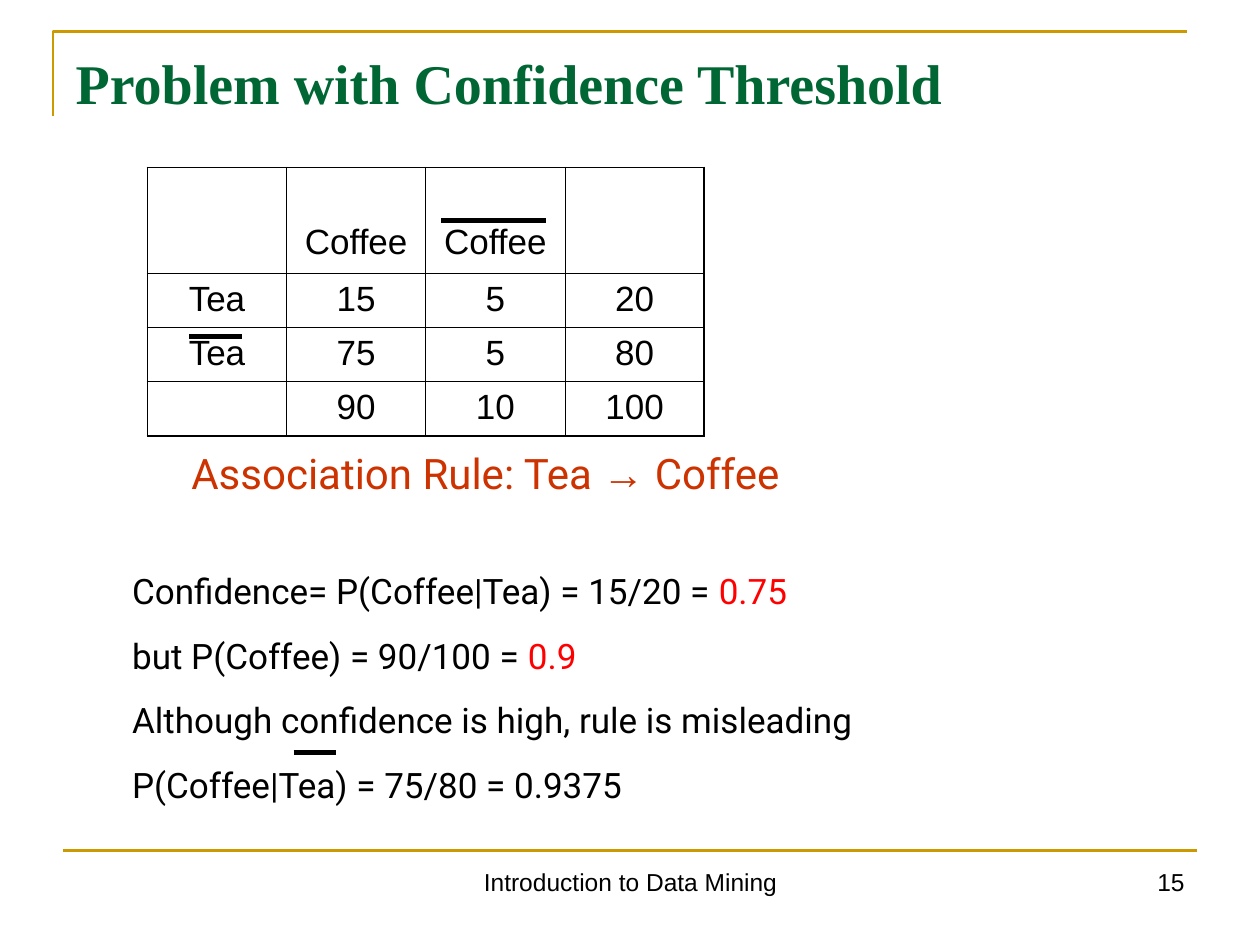
from lxml.etree import SubElement
from pptx import Presentation
from pptx.dml.color import RGBColor
from pptx.enum.text import MSO_ANCHOR, PP_ALIGN
from pptx.oxml.ns import qn
from pptx.util import Inches, Pt

BLACK, GOLD, GREEN, RUST, RED = "000000", "CC9900", "006633", "CC3300", "FF0000"

TITLE = "Problem with Confidence Threshold"
COUNTS = [
    ["", "Coffee", "Coffee", ""],
    ["Tea", "15", "5", "20"],
    ["Tea", "75", "5", "80"],
    ["", "90", "10", "100"],
]
ROW_HEIGHTS = [0.84, 0.43, 0.43, 0.43]
COLUMN_WIDTH = 1.105

BODY = {"size": 20, "name": "Roboto", "color": BLACK}
RULE = {"size": 24, "name": "Roboto", "color": RUST}
RESULT = {**BODY, "color": RED}
CELL = {"size": 20, "name": "Arial", "color": BLACK}
FOOTER = {"size": 14, "name": "Arial", "color": BLACK}
HEADING = {"size": 32, "name": "Times New Roman", "color": GREEN, "bold": True}

# indent in inches, space before in points, spans
NOTES = [
    (0.75, 0, [("Association Rule: Tea ", RULE), ("→", {**RULE, "name": "Arial"}),
               (" Coffee", RULE)]),
    (0.28, 41, [("Confidence= P(Coffee|Tea) = 15/20 = ", BODY), ("0.75", RESULT)]),
    (0.28, 13, [("but P(Coffee) = 90/100 = ", BODY), ("0.9", RESULT)]),
    (0.28, 13, [("Although confidence is high, rule is misleading", BODY)]),
    (0.28, 13, [("P(Coffee|Tea) = 75/80 = 0.9375", BODY)]),
]
# left, right, height on the slide, colour, width in points
RULES = [(0.5, 9.5, 6.75, GOLD, 1.5)]
OVERBARS = [(3.5, 4.33, 1.75, BLACK, 3), (1.5, 1.92, 2.67, BLACK, 3),
            (2.33, 2.67, 5.97, BLACK, 3)]
FOOTERS = [
    ("Introduction to Data Mining", 3.42, 3.17, PP_ALIGN.CENTER),
    ("15", 7.17, 2.33, PP_ALIGN.RIGHT),
]


def rgb(value):
    return RGBColor.from_string(value)


def add_span(para, text, style):
    span = para.add_run()
    span.text = text
    for key, value in style.items():
        if key == "color":
            span.font.color.rgb = rgb(value)
        else:
            setattr(span.font, key, Pt(value) if key == "size" else value)


def add_text_box(slide, left, top, width, height):
    box = slide.shapes.add_textbox(*map(Inches, (left, top, width, height)))
    box.text_frame.word_wrap = True
    return box.text_frame


def add_line(slide, left, right, height, color, width):
    line = slide.shapes.add_connector(1, *map(Inches, (left, height, right, height)))
    line.line.color.rgb = rgb(color)
    line.line.width = Pt(width)
    SubElement(line._element.spPr, qn("a:effectLst"))


def add_corner_frame(slide):
    builder = slide.shapes.build_freeform(Inches(0.42), Inches(0.92))
    builder.add_line_segments(
        [(Inches(0.42), Inches(0.25)), (Inches(9.42), Inches(0.25))], close=False)
    frame = builder.convert_to_shape()
    frame.shadow.inherit = False
    frame.fill.background()
    frame.line.color.rgb = rgb(GOLD)
    frame.line.width = Pt(1.5)


def set_borders(cell, outer_sides):
    """Draw all four borders, heavier on the sides at the table's edge."""
    properties = cell._tc.get_or_add_tcPr()
    for side in "LRTB":
        width = 1.08 if side in outer_sides else 0.45
        border = SubElement(properties, qn(f"a:ln{side}"), w=str(int(Pt(width))))
        fill = SubElement(border, qn("a:solidFill"))
        SubElement(fill, qn("a:srgbClr"), val=BLACK)


def add_counts_table(slide):
    rows, columns = len(COUNTS), len(COUNTS[0])
    table = slide.shapes.add_table(
        rows, columns, Inches(1.17), Inches(1.33),
        Inches(COLUMN_WIDTH * columns), Inches(sum(ROW_HEIGHTS))).table
    table.first_row = table.horz_banding = False
    for column in table.columns:
        column.width = Inches(COLUMN_WIDTH)
    for r, values in enumerate(COUNTS):
        table.rows[r].height = Inches(ROW_HEIGHTS[r])
        for c, value in enumerate(values):
            cell = table.cell(r, c)
            edges = {"L": c == 0, "R": c == columns - 1, "T": r == 0, "B": r == rows - 1}
            set_borders(cell, [side for side, outer in edges.items() if outer])
            cell.fill.background()
            if r == 0:
                cell.vertical_anchor = MSO_ANCHOR.BOTTOM
                cell.margin_bottom = Inches(0.09)
            if value:
                para = cell.text_frame.paragraphs[0]
                para.alignment = PP_ALIGN.CENTER
                add_span(para, value, CELL)


def add_title(slide):
    title = slide.shapes.title
    title.left, title.top, title.width, title.height = map(Inches, (0.5, 0.3, 9, 0.78))
    frame = title.text_frame
    frame.vertical_anchor = MSO_ANCHOR.MIDDLE
    frame.margin_bottom = Inches(0.13)
    frame.paragraphs[0].alignment = PP_ALIGN.LEFT
    add_span(frame.paragraphs[0], TITLE, HEADING)


def add_notes(slide):
    frame = add_text_box(slide, 0.67, 3.5, 8.08, 2.93)
    for index, (indent, space, spans) in enumerate(NOTES):
        para = frame.add_paragraph() if index else frame.paragraphs[0]
        para.space_before = Pt(space)
        para._p.get_or_add_pPr().set("marL", str(Inches(indent)))
        for text, style in spans:
            add_span(para, text, style)


def main():
    deck = Presentation()
    deck.slide_width, deck.slide_height = Inches(10), Inches(7.5)
    slide = deck.slides.add_slide(deck.slide_layouts[5])
    add_corner_frame(slide)
    add_title(slide)
    add_counts_table(slide)
    add_notes(slide)
    for line in RULES + OVERBARS:
        add_line(slide, *line)
    for text, left, width, alignment in FOOTERS:
        para = add_text_box(slide, left, 6.83, width, 0.52).paragraphs[0]
        para.alignment = alignment
        add_span(para, text, FOOTER)
    deck.save("out.pptx")


if __name__ == "__main__":
    main()
